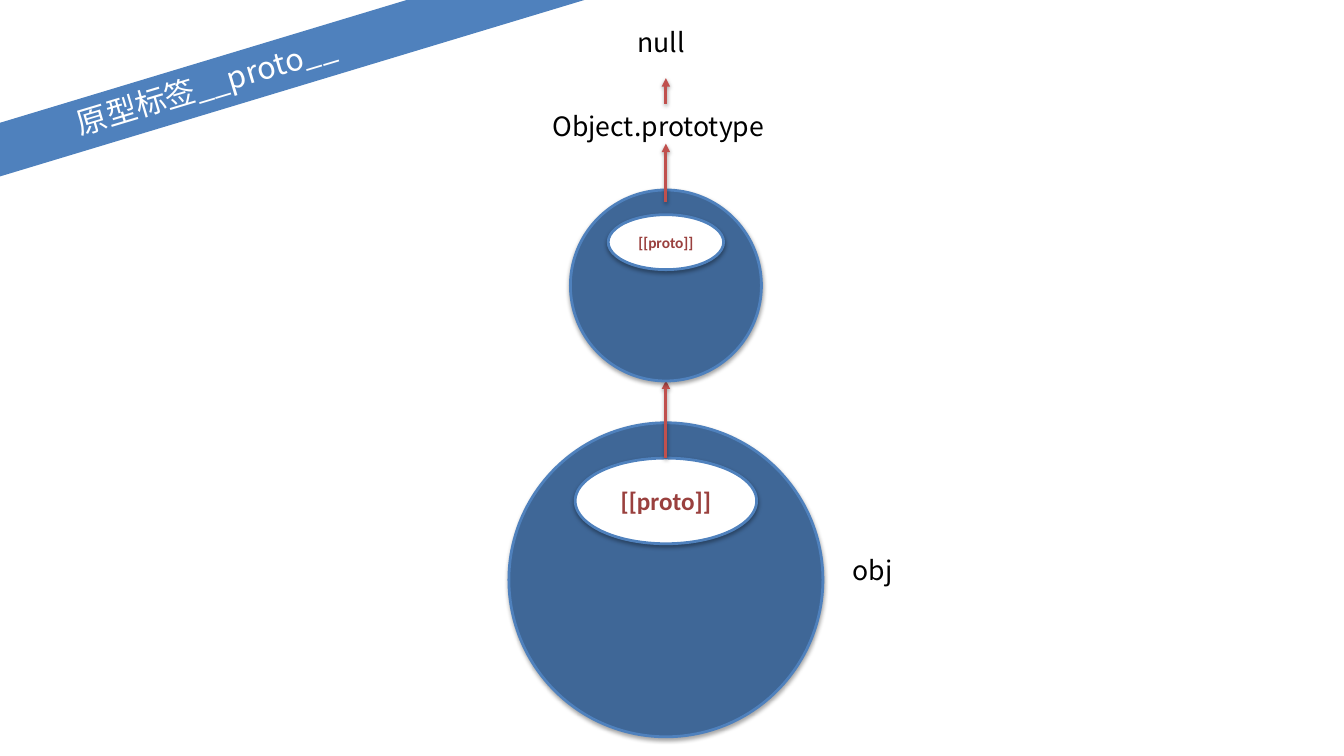
from lxml import etree
from pptx import Presentation
from pptx.dml.color import RGBColor
from pptx.enum import shapes, text
from pptx.oxml.ns import qn
from pptx.util import Pt

BLUE, DARK_BLUE, RED, DARK_RED = "4F81BD", "3F6797", "C0504D", "9A403E"
WHITE, BLACK = "FFFFFF", "000000"
CJK = "Noto Sans CJK SC"
AXIS = 951.3


def color(value):
    """Turn a hex string into a colour."""
    return RGBColor.from_string(value)


def points(*values):
    """Convert numbers to point lengths."""
    return [Pt(value) for value in values]


def add_shadow(shape, opacity):
    """Give a shape or connector a soft shadow straight below it."""
    properties = shape._element.spPr
    effects = properties.find(qn("a:effectLst"))
    if effects is None:
        effects = etree.SubElement(properties, qn("a:effectLst"))
    shadow = etree.SubElement(effects, qn("a:outerShdw"), blurRad=str(Pt(6)),
                              dist=str(Pt(3)), dir="5400000", rotWithShape="0")
    tint = etree.SubElement(shadow, qn("a:srgbClr"), val=BLACK)
    etree.SubElement(tint, qn("a:alpha"), val=str(opacity * 1000))


def write(shape, words, size, font, fill, align, spacing=1.0, bold=False):
    """Write one paragraph into a shape without margins."""
    frame = shape.text_frame
    frame.margin_left = frame.margin_right = frame.margin_top = frame.margin_bottom = 0
    paragraph = frame.paragraphs[0]
    paragraph.text = words
    paragraph.alignment = align
    paragraph.line_spacing = spacing
    paragraph.font.size = Pt(size)
    paragraph.font.bold = bold
    paragraph.font.color.rgb = color(fill)
    paragraph.font.name = font
    etree.SubElement(paragraph.font._element, qn("a:ea"), typeface=font)
    return frame


def add_banner(slide, box, words):
    """Draw the slanted title band."""
    band = slide.shapes.add_shape(shapes.MSO_SHAPE.RECTANGLE, *points(*box))
    band.rotation = 343.2
    band.shadow.inherit = False
    band.fill.solid()
    band.fill.fore_color.rgb = color(BLUE)
    band.line.fill.background()
    frame = write(band, words, 43.8, CJK, WHITE, text.PP_ALIGN.CENTER, 0.9)
    frame.vertical_anchor = text.MSO_ANCHOR.MIDDLE


def add_oval(slide, box, fill):
    """Draw an outlined oval with a shadow."""
    oval = slide.shapes.add_shape(shapes.MSO_SHAPE.OVAL, *points(*box))
    oval.fill.solid()
    oval.fill.fore_color.rgb = color(fill)
    oval.line.color.rgb = color(BLUE)
    oval.line.width = Pt(4)
    oval.shadow.inherit = False
    add_shadow(oval, 35)
    return oval


def add_object(slide, top, diameter, tag, size):
    """Draw an object circle on the axis with its prototype tag inside."""
    add_oval(slide, (AXIS - diameter / 2, top, diameter, diameter), DARK_BLUE)
    offset, width, height = tag
    oval = add_oval(slide, (AXIS - width / 2, top + offset, width, height), WHITE)
    frame = write(oval, "[[proto]]", size, "Calibri", DARK_RED,
                  text.PP_ALIGN.CENTER, bold=True)
    frame.vertical_anchor = text.MSO_ANCHOR.MIDDLE


def add_arrow(slide, start, end):
    """Draw an upward arrow on the axis."""
    arrow = slide.shapes.add_connector(shapes.MSO_CONNECTOR.STRAIGHT,
                                       *points(AXIS, start, AXIS, end))
    arrow.line.color.rgb = color(RED)
    arrow.line.width = Pt(4)
    line = arrow._element.spPr.find(qn("a:ln"))
    etree.SubElement(line, qn("a:tailEnd"), type="triangle")
    add_shadow(arrow, 38)


def add_label(slide, box, words, align=text.PP_ALIGN.LEFT, spacing=1.2):
    """Place a one-line label."""
    label = slide.shapes.add_textbox(*points(*box))
    frame = write(label, words, 38, CJK, BLACK, align, spacing)
    frame.word_wrap = False
    frame.auto_size = text.MSO_AUTO_SIZE.SHAPE_TO_FIT_TEXT


def add_chain(slide):
    """Draw the prototype chain from the object up to null."""
    add_label(slide, (1209.6, 796.3, 74.2, 64), "obj", text.PP_ALIGN.CENTER, 0.9)
    add_object(slide, 604, 448.6, (50.4, 259.2, 122.4), 36)
    add_arrow(slide, 653.8, 543.6)
    add_label(slide, (789.1, 148.3, 325.4, 64), "Object.prototype")
    add_object(slide, 271.4, 272.9, (35.3, 164.9, 78.5), 22)
    add_arrow(slide, 288, 205.2)
    add_arrow(slide, 148.3, 111.6)
    add_label(slide, (910.1, 27.4, 82.8, 64), "null")


def main():
    """Build and save the slide."""
    presentation = Presentation()
    presentation.slide_width, presentation.slide_height = points(1920, 1080)
    slide = presentation.slides.add_slide(presentation.slide_layouts[6])
    add_banner(slide, (-359.3, 87.8, 1309.7, 73.4), "原型标签__proto__")
    add_chain(slide)
    presentation.save("out.pptx")


if __name__ == "__main__":
    main()
